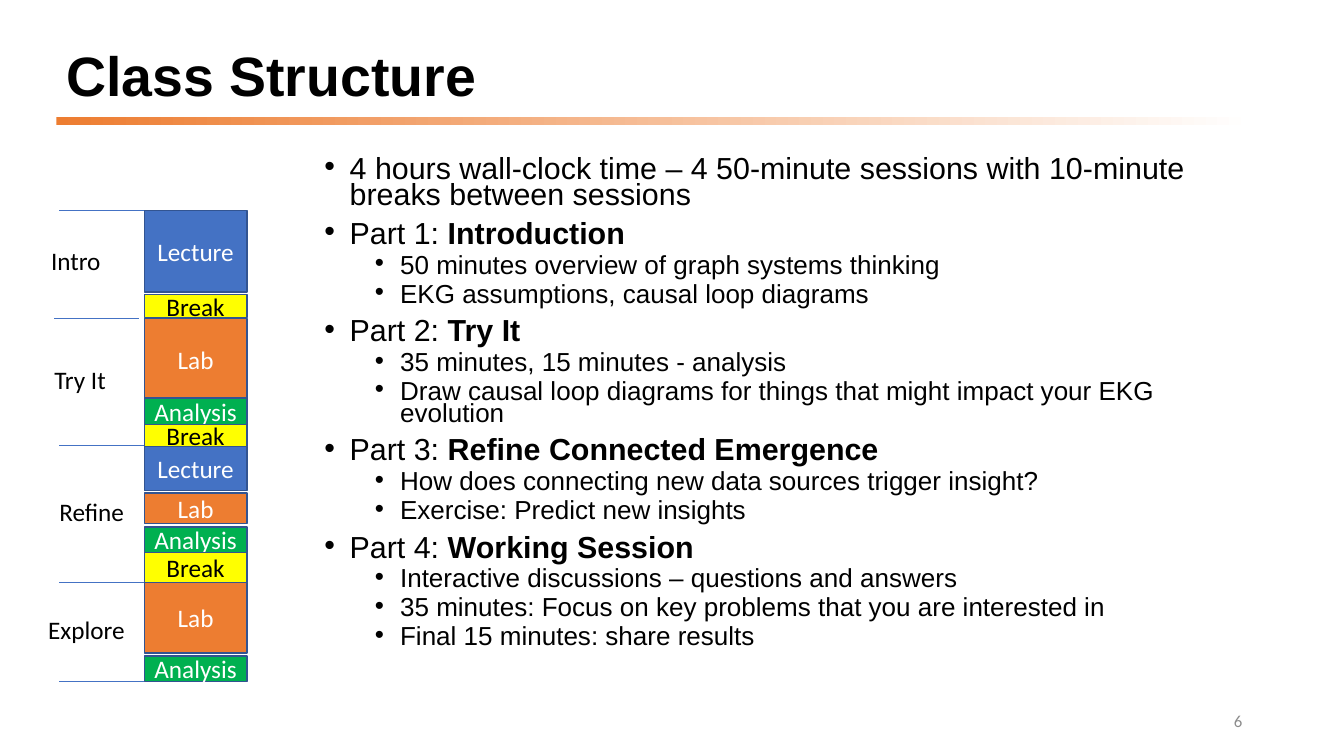
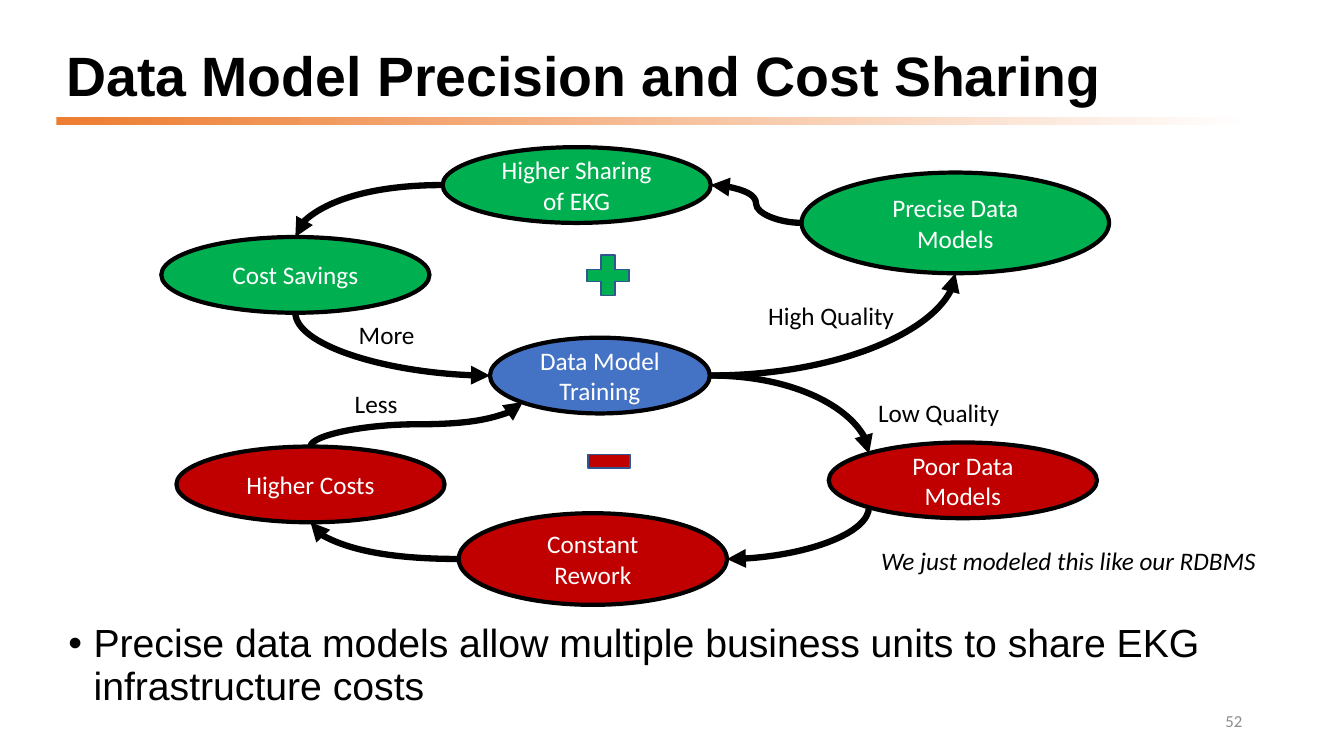
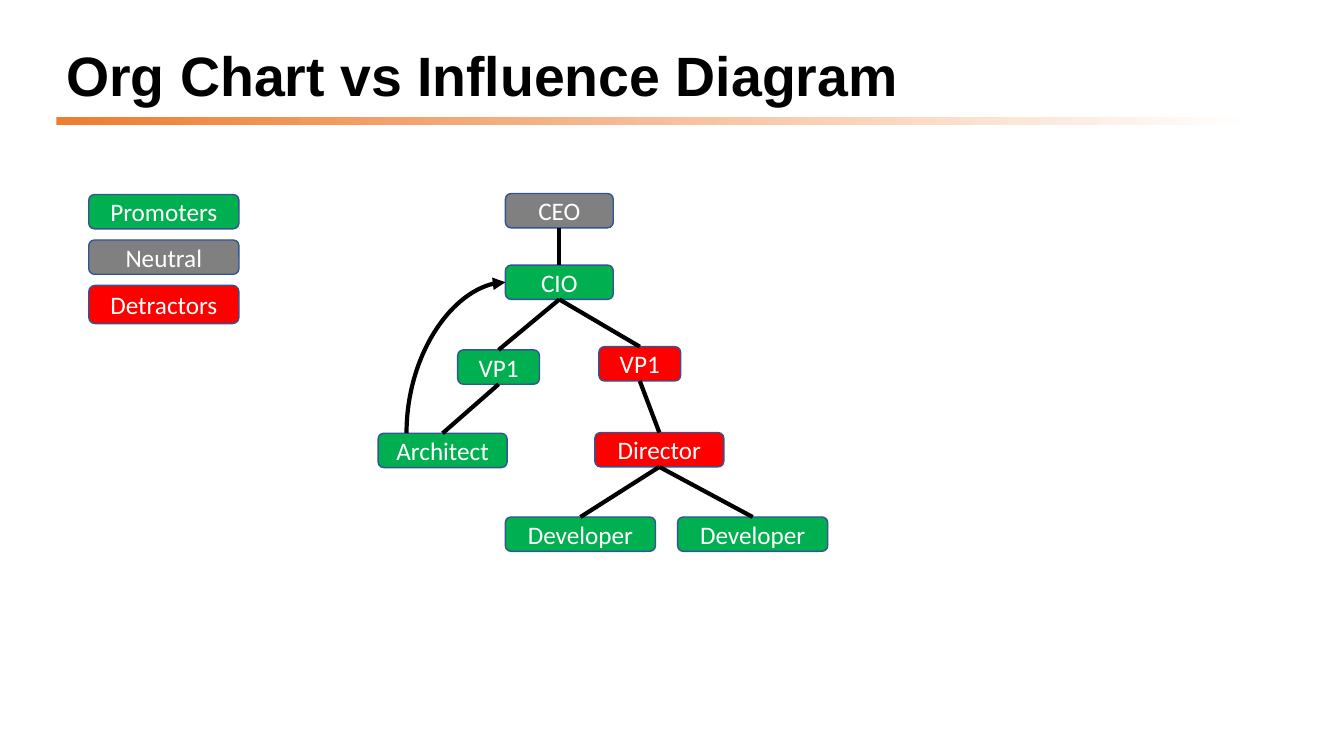
from lxml import etree
from pptx import Presentation
from pptx.dml.color import RGBColor
from pptx.enum.shapes import MSO_CONNECTOR, MSO_SHAPE
from pptx.enum.text import MSO_ANCHOR, PP_ALIGN
from pptx.oxml.ns import qn
from pptx.util import Inches, Pt

# Shared look
BLACK, WHITE, GREY, PALE = "000000", "FFFFFF", "808080", "8C8C8C"
BLUE, NAVY, ORANGE, YELLOW = "4472C4", "325491", "ED7D31", "FFFF00"
GREEN, CRIMSON, RED = "00B050", "C00000", "FF0000"
HEAD_FONT, LABEL_FONT = "Arial", "Calibri"
LABEL_HEIGHT = 0.4

# Connection sites as shares of a shape's width and height
NEAR, FAR = 0.15, 0.85
SITES = {"top": (0.5, 0), "left": (0, 0.5), "bottom": (0.5, 1), "right": (1, 0.5),
         "top left": (NEAR, NEAR), "bottom left": (NEAR, FAR)}

prs = Presentation()
prs.slide_width, prs.slide_height = Inches(13.33), Inches(7.5)


def rgb(value):
    return RGBColor.from_string(value)


def cell(box, col, row, cols, rows):
    """Part of a box that is divided into 100 columns and 100 rows."""
    left, top, width, height = box
    return (left + col * width / 100, top + row * height / 100,
            cols * width / 100, rows * height / 100)


def label_cell(box, col, row, cols):
    return cell(box, col, row, cols, 0)[:3] + (LABEL_HEIGHT,)


def add_run(paragraph, text, size, color=BLACK, font=LABEL_FONT, bold=False, italic=False):
    run = paragraph.add_run()
    run.text = text
    run.font.size, run.font.name = Pt(size), font
    run.font.bold, run.font.italic = bold, italic
    run.font.color.rgb = rgb(color)


def add_text(slide, box, text="", size=18, align=PP_ALIGN.LEFT, anchor=MSO_ANCHOR.TOP,
             wrap=True, **style):
    frame = slide.shapes.add_textbox(*map(Inches, box)).text_frame
    frame.word_wrap, frame.vertical_anchor = wrap, anchor
    paragraph = frame.paragraphs[0]
    paragraph.alignment = align
    if text:
        add_run(paragraph, text, size, **style)
    return frame


def add_block(slide, box, fill, text="", kind=MSO_SHAPE.RECTANGLE, ink=WHITE,
              outline=NAVY, weight=1):
    shape = slide.shapes.add_shape(kind, *map(Inches, box))
    shape.shadow.inherit = False
    shape.fill.solid()
    shape.fill.fore_color.rgb = rgb(fill)
    shape.line.color.rgb, shape.line.width = rgb(outline), Pt(weight)
    frame = shape.text_frame
    frame.word_wrap, frame.vertical_anchor = True, MSO_ANCHOR.MIDDLE
    for i, line in enumerate(text.split("\n") if text else []):
        paragraph = frame.add_paragraph() if i else frame.paragraphs[0]
        paragraph.alignment = PP_ALIGN.CENTER
        add_run(paragraph, line, 18, ink)
    return shape


def add_line(slide, start, end, color, weight, kind=MSO_CONNECTOR.STRAIGHT, arrow=False):
    line = slide.shapes.add_connector(kind, *map(Inches, (*start, *end)))
    line.line.color.rgb, line.line.width = rgb(color), Pt(weight)
    if arrow:
        etree.SubElement(line.line._get_or_add_ln(), qn("a:tailEnd"), type="triangle")
    etree.SubElement(line._element.spPr, qn("a:effectLst"))
    return line


def add_curve(slide, start, end, weight, upright=False, bends=1):
    """Curved arrow; an upright one leaves its start vertically."""
    if upright:
        mid_x, mid_y = (start[0] + end[0]) / 2, (start[1] + end[1]) / 2
        half_x, half_y = (end[0] - start[0]) / 2, (end[1] - start[1]) / 2
        start, end = (mid_x - half_y, mid_y + half_x), (mid_x + half_y, mid_y - half_x)
    curve = add_line(slide, start, end, BLACK, weight, MSO_CONNECTOR.CURVE, arrow=True)
    properties = curve._element.spPr
    properties.find(qn("a:prstGeom")).set("prst", f"curvedConnector{bends + 1}")
    if upright:
        properties.find(qn("a:xfrm")).set("rot", str(90 * 60000))


def site(shape, across, down):
    return ((shape.left + across * shape.width) / Inches(1),
            (shape.top + down * shape.height) / Inches(1))


def add_bullets(slide, box, items, sizes, spacing):
    """Items are (level, plain text, bold text)."""
    frame = add_text(slide, box)
    for i, (level, plain, strong) in enumerate(items):
        paragraph = frame.add_paragraph() if i else frame.paragraphs[0]
        paragraph.level = level
        paragraph.line_spacing, paragraph.space_before = spacing, Pt(5 if level else 10)
        properties = paragraph._p.get_or_add_pPr()
        properties.set("marL", str(Inches(0.25 + 0.5 * level)))
        properties.set("indent", str(Inches(-0.25)))
        etree.SubElement(properties, qn("a:buFont"), typeface=HEAD_FONT)
        etree.SubElement(properties, qn("a:buChar"), char="•")
        add_run(paragraph, plain, sizes[level], font=HEAD_FONT)
        if strong:
            add_run(paragraph, strong, sizes[level], font=HEAD_FONT, bold=True)


def new_slide(title, number=None):
    slide = prs.slides.add_slide(prs.slide_layouts[6])
    # Fading band under the title
    band = add_block(slide, (0.56, 1.16, 11.86, 0.08), ORANGE)
    band.line.fill.background()
    band.fill.gradient()
    band.fill.gradient_angle = 0
    for stop, color in zip(band.fill.gradient_stops, (ORANGE, WHITE)):
        stop.color.rgb = rgb(color)
    heading = add_text(slide, (0.56, 0.4, 11.5, 0.76), title, 39.6,
                       anchor=MSO_ANCHOR.MIDDLE, font=HEAD_FONT, bold=True)
    heading.paragraphs[0].line_spacing = 0.9
    if number:
        add_text(slide, (9.42, 6.95, 3, 0.4), number, 12, PP_ALIGN.RIGHT,
                 MSO_ANCHOR.MIDDLE, color=PALE)
    return slide


def schedule(slide, box):
    # Stack of sessions: name, row, rows
    fills = {"Lecture": BLUE, "Break": YELLOW, "Lab": ORANGE, "Analysis": GREEN}
    sessions = [("Lecture", 0, 17.3), ("Break", 17.8, 4.9), ("Lab", 22.9, 17.3),
                ("Analysis", 39.8, 5.8), ("Break", 45.4, 4.7), ("Lecture", 50.1, 9.4),
                ("Lab", 60, 6.4), ("Analysis", 67.2, 5.4), ("Break", 72.6, 6.4),
                ("Lab", 79, 15), ("Analysis", 94.6, 5.4)]
    for name, row, rows in sessions:
        add_block(slide, cell(box, 50.5, row, 49, rows), fills[name], name,
                  ink=BLACK if name == "Break" else WHITE)
    # Rules between the parts
    for col, row in [(10.1, 0), (7.7, 22.9), (10.1, 49.9), (10.1, 79), (10.1, 100)]:
        left, top, width, _ = cell(box, col, row, 40.4, 0)
        add_line(slide, (left, top), (left + width, top), BLUE, 0.5)
    # Part names
    for name, col, row, cols in [("Intro", 1.4, 6.4, 33.7), ("Try It", 2.9, 31.5, 34.6),
                                 ("Refine", 5.3, 59.7, 40.9), ("Explore", 0, 84.6, 46.6)]:
        add_text(slide, label_cell(box, col, row, cols), name, wrap=False)


def causal_loops(slide, box):
    # Factors: name, fill, cell
    factors = [("Data Model\nTraining", BLUE, (32.6, 42, 21.8, 16.7)),
               ("Constant Rework", CRIMSON, (29.5, 80.7, 26.6, 20.2)),
               ("Precise Data Models", GREEN, (63.5, 5.6, 30.5, 22.2)),
               ("Higher Sharing of EKG", GREEN, (27.9, 0, 26.6, 16.7)),
               ("Poor Data Models", CRIMSON, (66.2, 65.1, 26.6, 16.7)),
               ("Cost Savings", GREEN, (0, 19.8, 26.6, 16.7)),
               ("Higher Costs", CRIMSON, (1.5, 66, 26.6, 16.7))]
    training, rework, precise, sharing, poor, savings, costs = [
        add_block(slide, cell(box, *place), fill, name, MSO_SHAPE.OVAL,
                  outline=BLACK, weight=3) for name, fill, place in factors]
    # Influences: from, site, to, site, leaves vertically, bends
    for source, out, target, into, upright, bends in [
            (sharing, "left", savings, "top", False, 1),
            (savings, "bottom", training, "left", True, 1),
            (training, "right", precise, "bottom", False, 1),
            (precise, "left", sharing, "right", False, 2),
            (training, "right", poor, "top left", False, 1),
            (poor, "bottom left", rework, "right", True, 1),
            (rework, "left", costs, "bottom", False, 1),
            (costs, "top", training, "bottom left", True, 2)]:
        add_curve(slide, site(source, *SITES[out]), site(target, *SITES[into]),
                  4.5, upright, bends)
    # Signs of the loops
    plus = add_block(slide, cell(box, 42.2, 23.8, 4.2, 8.9), GREEN, kind=MSO_SHAPE.CROSS)
    plus.adjustments[0] = 0.35
    add_block(slide, cell(box, 42.3, 67.8, 4.2, 2.9), CRIMSON)
    # Notes beside the arrows
    for note, col, row, cols, italic in [
            ("Low Quality", 70.1, 54, 14.2, False), ("High Quality", 59.2, 32.7, 14.7, False),
            ("We just modeled this like our RDBMS", 70.4, 86.7, 40.1, True),
            ("More", 18.6, 36.9, 7.6, False), ("Less", 18.2, 52, 6.3, False)]:
        add_text(slide, label_cell(box, col, row, cols), note, wrap=False, italic=italic)


def legend(slide, box):
    for i, (name, fill, rows) in enumerate([("Promoters", GREEN, 26.6),
                                            ("Neutral", GREY, 26.6),
                                            ("Detractors", RED, 29.7)]):
        add_block(slide, cell(box, 0, 35.2 * i, 100, rows), fill, name,
                  MSO_SHAPE.ROUNDED_RECTANGLE)


def org_chart(slide, box):
    # Roles: name, fill, column, row, columns
    roles = [("CEO", GREY, 28.3, 0, 24), ("CIO", GREEN, 28.3, 20, 24),
             ("VP1", GREEN, 17.7, 43.7, 18.2), ("VP1", RED, 49.1, 42.8, 18.2),
             ("Architect", GREEN, 0, 67, 28.7), ("Director", RED, 48.2, 66.8, 28.7),
             ("Developer", GREEN, 28.3, 90.4, 33.4), ("Developer", GREEN, 66.6, 90.4, 33.4)]
    ceo, cio, vp_left, vp_right, architect, director, dev_left, dev_right = [
        add_block(slide, cell(box, col, row, cols, 9.6), fill, name,
                  MSO_SHAPE.ROUNDED_RECTANGLE) for name, fill, col, row, cols in roles]
    # Reporting lines, bottom to top
    for boss, report in [(ceo, cio), (cio, vp_left), (cio, vp_right), (vp_left, architect),
                         (vp_right, director), (director, dev_left), (director, dev_right)]:
        line = add_line(slide, site(boss, *SITES["bottom"]), site(report, *SITES["top"]),
                        BLACK, 3)
        line.begin_connect(boss, 2)
        line.end_connect(report, 0)
    # Informal influence
    add_curve(slide, site(architect, 0.22, 0), site(cio, *SITES["left"]), 3, upright=True)


# Class structure
structure = new_slide("Class Structure", "6")
add_bullets(structure, (3.12, 1.53, 9.3, 5.23), [
    (0, "4 hours wall-clock time – 4 50-minute sessions with 10-minute breaks "
        "between sessions", ""),
    (0, "Part 1: ", "Introduction"),
    (1, "50 minutes overview of graph systems thinking", ""),
    (1, "EKG assumptions, causal loop diagrams", ""),
    (0, "Part 2: ", "Try It"),
    (1, "35 minutes, 15 minutes - analysis", ""),
    (1, "Draw causal loop diagrams for things that might impact your EKG evolution", ""),
    (0, "Part 3: ", "Refine Connected Emergence"),
    (1, "How does connecting new data sources trigger insight?", ""),
    (1, "Exercise: Predict new insights", ""),
    (0, "Part 4: ", "Working Session"),
    (1, "Interactive discussions – questions and answers", ""),
    (1, "35 minutes: Focus on key problems that you are interested in", ""),
    (1, "Final 15 minutes: share results", "")], (21.7, 18.6), 0.7)
schedule(structure, (0.38, 2.09, 2.08, 4.67))

# Data model precision
precision = new_slide("Data Model Precision and Cost Sharing", "52")
add_bullets(precision, (0.58, 6.14, 11.5, 0.98), [
    (0, "Precise data models allow multiple business units to share EKG "
        "infrastructure costs", "")], (28,), 0.9)
causal_loops(precision, (1.6, 1.46, 10, 4.5))

# Org chart and influence
influence = new_slide("Org Chart vs Influence Diagram")
org_chart(influence, (3.75, 1.92, 4.46, 3.55))
legend(influence, (0.88, 1.93, 1.49, 1.28))

prs.save("out.pptx")
